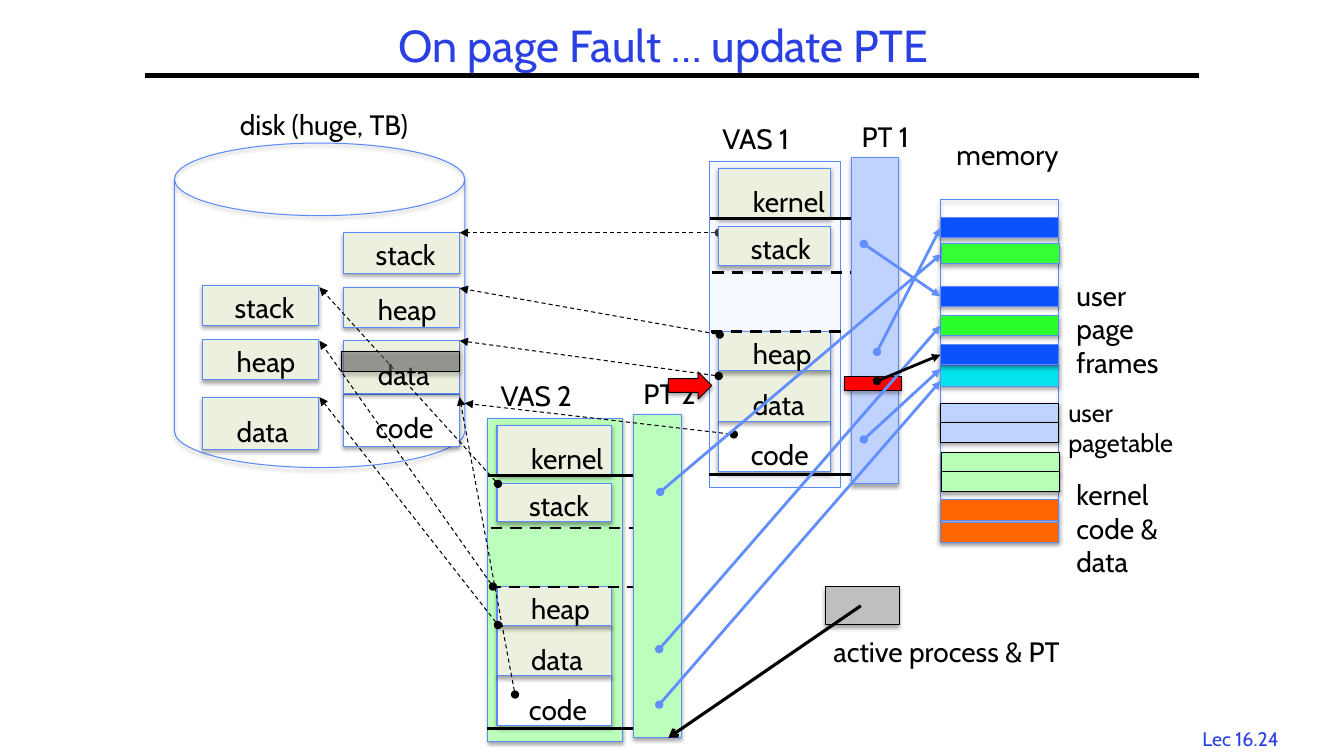
from lxml.etree import SubElement
from pptx import Presentation
from pptx.dml.color import RGBColor
from pptx.enum.dml import MSO_LINE
from pptx.enum.shapes import MSO_CONNECTOR, MSO_SHAPE
from pptx.enum.text import MSO_ANCHOR, MSO_AUTO_SIZE, PP_ALIGN
from pptx.oxml import parse_xml
from pptx.oxml.ns import qn
from pptx.util import Pt

HUES = {
    "black": "000000", "white": "FFFFFF", "title": "2A40E2", "edge": "5B8AFB",
    "cell": "EBF1DE", "pale": "DFE9FF", "sky": "C0D2FE", "mint": "BCFFBC",
    "leaf": "B8FFB8", "blue": "0B52FC", "green": "2BFF2B", "lime": "35FF35",
    "cyan": "02E3EE", "orange": "FF6600", "red": "FF0000", "grey": "BFBFBF",
    "smoke": "6D6D6D", "arrow": "618FFD",
}
FONT = "Cabin"
SHADE = (
    '<a:outerShdw xmlns:a="http://schemas.openxmlformats.org/drawingml/2006/main" '
    'blurRad="39400" dist="22900" dir="5400000" rotWithShape="0">'
    '<a:srgbClr val="000000"><a:alpha val="35000"/></a:srgbClr></a:outerShdw>'
)

deck = Presentation()
deck.slide_width, deck.slide_height = Pt(960), Pt(540)
slide = deck.slides.add_slide(deck.slide_layouts[5])
shapes = slide.shapes


def put(x, y, w, h, fill=None, edge="edge", form=MSO_SHAPE.RECTANGLE, shade=True, alpha=None):
    shape = shapes.add_shape(form, Pt(x), Pt(y), Pt(w), Pt(h))
    shape.shadow.inherit = False
    shape.line.color.rgb = RGBColor.from_string(HUES[edge])
    shape.line.width = Pt(0.75)
    props = shape.element.spPr
    if fill:
        shape.fill.solid()
        shape.fill.fore_color.rgb = RGBColor.from_string(HUES[fill])
    else:
        shape.fill.background()
    if alpha:
        SubElement(props.find(qn("a:solidFill"))[0], qn("a:alpha")).set("val", str(alpha * 1000))
    if shade:
        props.find(qn("a:effectLst")).append(parse_xml(SHADE))
    return shape


def link(x1, y1, x2, y2, hue="black", width=2, dash=False, head=None, tail=None, goal=None):
    line = shapes.add_connector(MSO_CONNECTOR.STRAIGHT, Pt(x1), Pt(y1), Pt(x2), Pt(y2))
    if goal is not None:
        line.end_connect(goal, 1)
    line.line.color.rgb = RGBColor.from_string(HUES[hue])
    line.line.width = Pt(width)
    if dash:
        line.line.dash_style = MSO_LINE.DASH
    props = line.element.spPr
    for tag, kind in (("a:headEnd", head), ("a:tailEnd", tail)):
        if kind:
            SubElement(props.find(qn("a:ln")), qn(tag)).set("type", kind)
    SubElement(props, qn("a:effectLst"))


title = shapes.title
title.left, title.top, title.width, title.height = Pt(144.7), Pt(0), Pt(658.8), Pt(69.1)
title.text_frame.text = "On page Fault … update PTE"
title.text_frame.vertical_anchor = MSO_ANCHOR.MIDDLE
head = title.text_frame.paragraphs[0]
head.alignment = PP_ALIGN.CENTER
head.line_spacing = 0.9
font = head.runs[0].font
font.name, font.size = FONT, Pt(32)
font.color.rgb = RGBColor.from_string(HUES["title"])
link(103.7, 54, 856.1, 54, width=3)

labels = [
    ("Lec 16.24", 851.8, 515.5, 77.8, 14, False),
    ("disk (huge, TB)", 164.2, 73.4, 151.2, 20, False),
    ("memory", 676.1, 95, 100, 20, False),
    ("user page\nframes", 761.8, 195.1, 77.8, 20, True),
    ("user pagetable", 756, 280.1, 107.3, 18, True),
    ("kernel code & data", 761.8, 337.7, 77.8, 20, True),
    ("active process & PT", 588.2, 450, 193.7, 20, False),
]
inset = {"kernel": (17.3, 70), "stack": (15.8, 62), "heap": (17.3, 60),
         "data": (17.3, 54), "code": (15.8, 58)}

put(124.6, 102.2, 207.4, 231.8, form=MSO_SHAPE.CAN)
disk = [
    ("code", 245.5, 281.5, 37.4), ("data", 245.5, 243.4, 37.4),
    ("heap", 245.5, 205.2, 28.8), ("stack", 245.5, 166.3, 28.8),
    ("heap", 144.7, 242.6, 28.8), ("stack", 144.7, 203.8, 28.8),
    ("data", 144.7, 283.7, 37.4),
]
for name, x, y, h in disk:
    put(x, y, 82.8, h, "white" if name == "code" else "cell")
    dx, w = inset[name]
    labels.append((name, x + dx, y + (8.5 if h > 30 else 0), w, 20, False))

put(671.8, 142.6, 84.2, 242.6)
rows = [
    (155.5, "blue", "edge", 0), (174.2, "lime", "edge", 0.7),
    (204.5, "blue", "edge", 0), (225.4, "green", "edge", 0),
    (261.4, "cyan", "edge", 0), (246.2, "blue", "edge", 0),
    (288, "sky", "black", 0), (301.7, "sky", "black", 0),
    (323.3, "leaf", "black", 0.7), (337, "leaf", "black", 0.7),
    (357.1, "orange", "edge", 0), (373, "orange", "edge", 0),
]
frames = [put(671.8 + dx, y, 84.2, 14.4, fill, edge) for y, fill, edge, dx in rows]

thin = dict(width=0.75, dash=True, head="oval", tail="triangle")
link(513.4, 166.3, 328.3, 166.3, **thin)

cells = [("code", 185.8, 36), ("data", 149.8, 36), ("heap", 121.7, 28),
         ("stack", 46.8, 28), ("kernel", 5, 36)]
rules = [(0, 41, False), (1, 121.7, True), (2, 79.2, True), (-0.5, 223.9, False)]
spaces = [
    (1, 506.9, 115.2, 1, 1, "pale", "sky", 25),
    (2, 348.5, 298.8, 1.025, 0.99, "mint", "mint", None),
]
for num, x, y, sx, sy, fill, table, alpha in spaces:
    put(x, y, 93.6 * sx, 233.3 * sy, fill, shade=not alpha, alpha=alpha)
    for name, dy, h in cells:
        top = y + dy * sy
        put(x + 6.5, top, 80 * sx, h * sy, "white" if name == "code" else "cell")
        dx, w = inset[name]
        labels.append((name, x + 6.5 + dx, top + (8 if h > 30 else 0), w, 20, False))
    for dx, dy, dash in rules:
        link(x + dx, y + dy * sy, x + dx + 108.5 * sx, y + dy * sy, dash=dash)
    left = x + 101.5 * sx
    put(left, y - 2.9, 33.1 * sx, 233.3 * sy, table)
    labels.append((f"VAS {num}", x + 2, y - 32, 70.6, 20, False))
    labels.append((f"PT {num}", left, y - 33.1, 56.9, 20, False))

for text, x, y, w, size, wrap in labels:
    box = shapes.add_textbox(Pt(x), Pt(y), Pt(w), Pt(size * 1.58))
    frame = box.text_frame
    frame.text = text
    frame.word_wrap = wrap
    frame.auto_size = MSO_AUTO_SIZE.SHAPE_TO_FIT_TEXT
    for para in frame.paragraphs:
        font = para.runs[0].font
        font.name, font.size = FONT, Pt(size)
        font.color.rgb = RGBColor.from_string(HUES["title" if size == 14 else "black"])

swaps = [
    (355.7, 345.6, 228.2, 205.2), (352.1, 419, 228.2, 243.4),
    (355.7, 446.4, 228.2, 283.7), (367.9, 496.1, 328.3, 283.7),
    (524.2, 310.3, 331.9, 288), (514.1, 239, 328.3, 205.9),
    (513.4, 268.6, 328.3, 243.4),
]
for ends in swaps:
    link(*ends, **thin)

put(589.7, 419, 52.6, 27.4, "grey", "black")
link(614.9, 432.7, 477.4, 527, width=2.25, tail="arrow")
put(477.4, 265.7, 31, 19.4, "red", "black", MSO_SHAPE.RIGHT_ARROW)
put(603.4, 269.3, 40.3, 9.4, "red", "black")
put(244.1, 251.3, 84.2, 14.4, "smoke", "black", alpha=54)

maps = [
    (470.9, 463.7, 232.6, "arrow", 3), (471.6, 351.4, 181.4, "arrow", 1),
    (470.9, 503.3, 272.2, "arrow", None), (626.4, 251.3, 162.7, "arrow", 0),
    (617, 174.2, 211.7, "arrow", 2), (617, 313.9, 263.5, "arrow", None),
    (626.4, 272.2, 253.4, "black", 5),
]
for x, y, end, hue, row in maps:
    goal = None if row is None else frames[row]
    link(x, y, 671.8, end, hue, head="oval", tail="triangle", goal=goal)

deck.save("out.pptx")
